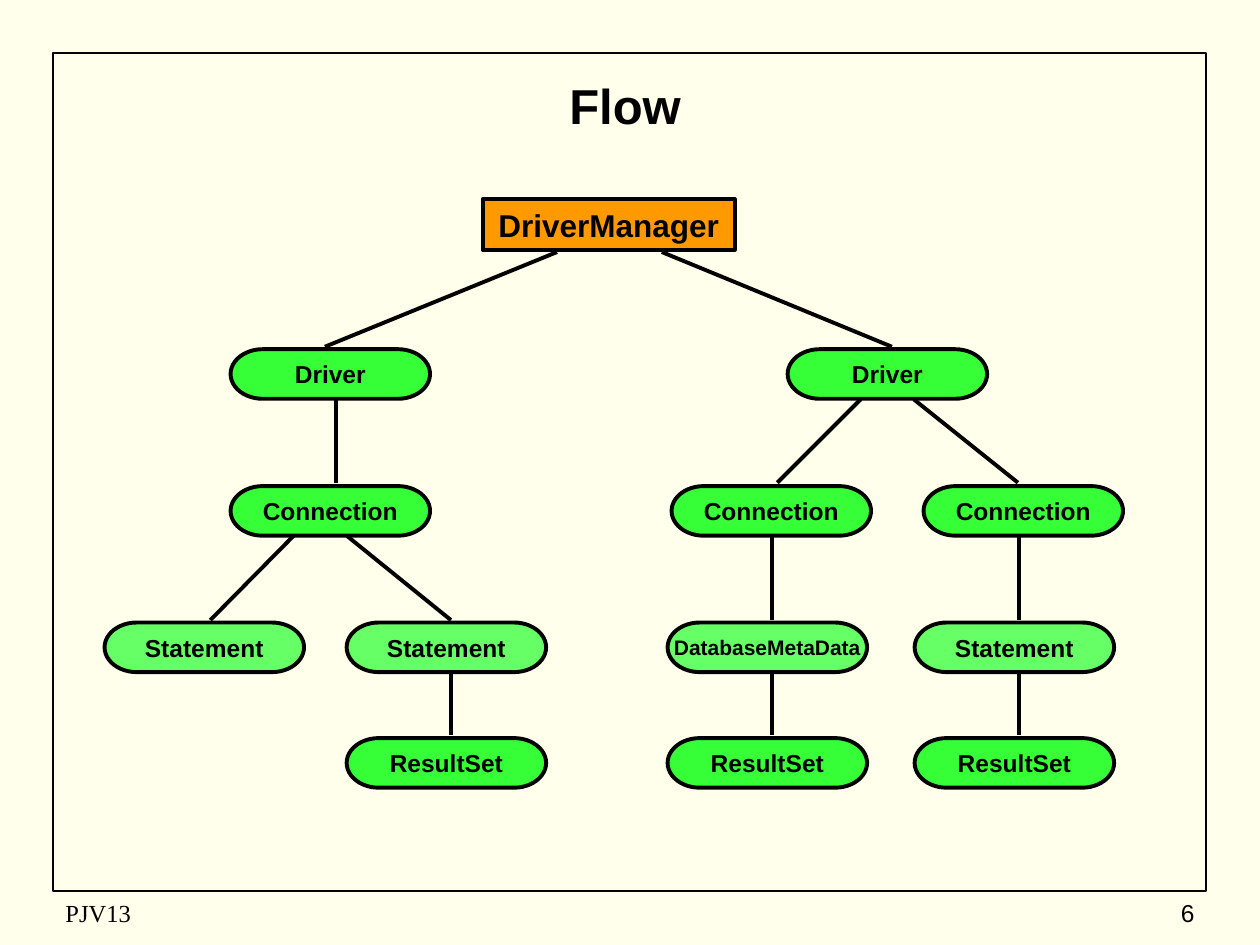
from dataclasses import dataclass

from lxml.etree import SubElement
from pptx import Presentation
from pptx.dml.color import RGBColor
from pptx.enum.shapes import MSO_CONNECTOR, MSO_SHAPE
from pptx.enum.text import MSO_ANCHOR, PP_ALIGN
from pptx.oxml.ns import qn
from pptx.shapes.autoshape import Shape
from pptx.slide import Slide
from pptx.text.text import TextFrame
from pptx.util import Cm, Pt


@dataclass(frozen=True)
class Theme:
    background: RGBColor = RGBColor(0xFF, 0xFF, 0xEB)
    ink: RGBColor = RGBColor(0, 0, 0)
    manager: RGBColor = RGBColor(0xFF, 0x99, 0x00)
    green: RGBColor = RGBColor(0x37, 0xFF, 0x37)
    light_green: RGBColor = RGBColor(0x66, 0xFF, 0x66)
    font: str = "Arial"
    footer_font: str = "Times New Roman"
    title_size: int = 28
    manager_size: int = 18
    node_size: int = 14
    small_size: int = 12
    stroke: float = 2.25


@dataclass(frozen=True)
class Node:
    text: str
    left: float
    top: float
    fill: RGBColor
    size: int


@dataclass(frozen=True)
class Link:
    start: float
    end: float
    gap: tuple[float, float]


THEME = Theme()
NODE_W, NODE_H = 4.02, 1.0
DRIVER_Y, CONNECTION_Y, STATEMENT_Y, RESULT_Y = 7.04, 9.8, 12.55, 14.88
MANAGER_GAP = (5.08, 6.99)
DRIVER_GAP = (8.05, 9.73)
CONNECTION_GAP = (10.8, 12.5)
STATEMENT_GAP = (13.54, 14.81)

ROWS = [
    (DRIVER_Y, "Driver", THEME.green, [4.65, 15.88]),
    (CONNECTION_Y, "Connection", THEME.green, [4.65, 13.54, 18.62]),
    (STATEMENT_Y, "Statement", THEME.light_green, [2.11, 6.99, 18.44]),
    (RESULT_Y, "ResultSet", THEME.green, [6.99, 13.46, 18.44]),
]
NODES = [
    Node(text, left, top, fill, THEME.node_size)
    for top, text, fill, lefts in ROWS
    for left in lefts
] + [Node("DatabaseMetaData", 13.46, STATEMENT_Y, THEME.light_green, THEME.small_size)]

LINKS = [
    Link(11.23, 6.55, MANAGER_GAP),
    Link(13.34, 17.98, MANAGER_GAP),
    Link(6.78, 6.78, DRIVER_GAP),
    Link(17.35, 15.67, DRIVER_GAP),
    Link(18.42, 20.52, DRIVER_GAP),
    Link(5.92, 4.24, CONNECTION_GAP),
    Link(6.99, 9.09, CONNECTION_GAP),
    Link(15.57, 15.57, CONNECTION_GAP),
    Link(20.55, 20.55, CONNECTION_GAP),
    Link(9.09, 9.09, STATEMENT_GAP),
    Link(15.57, 15.57, STATEMENT_GAP),
    Link(20.55, 20.55, STATEMENT_GAP),
]


def write(tf: TextFrame, text: str, size: int, align: PP_ALIGN = PP_ALIGN.CENTER,
          bold: bool = True, font: str = THEME.font, wrap: bool = True) -> None:
    tf.word_wrap = wrap
    tf.vertical_anchor = MSO_ANCHOR.MIDDLE
    tf.text = text
    p = tf.paragraphs[0]
    p.alignment = align
    p.font.name = font
    p.font.size = Pt(size)
    p.font.bold = bold
    p.font.color.rgb = THEME.ink


def add_box(s: Slide, kind: MSO_SHAPE, left: float, top: float, width: float,
            height: float, fill: RGBColor | None, stroke: float) -> Shape:
    sp = s.shapes.add_shape(kind, Cm(left), Cm(top), Cm(width), Cm(height))
    sp.shadow.inherit = False
    if fill is None:
        sp.fill.background()
    else:
        sp.fill.solid()
        sp.fill.fore_color.rgb = fill
    sp.line.color.rgb = THEME.ink
    sp.line.width = Pt(stroke)
    return sp


def add_node(s: Slide, node: Node) -> None:
    sp = add_box(s, MSO_SHAPE.FLOWCHART_TERMINATOR, node.left, node.top,
                 NODE_W, NODE_H, node.fill, THEME.stroke)
    write(sp.text_frame, node.text, node.size, wrap=False)


def add_link(s: Slide, link: Link) -> None:
    top, bottom = link.gap
    line = s.shapes.add_connector(MSO_CONNECTOR.STRAIGHT, Cm(link.start), Cm(top),
                                  Cm(link.end), Cm(bottom))
    line.line.color.rgb = THEME.ink
    line.line.width = Pt(THEME.stroke)
    SubElement(line._element.spPr, qn("a:effectLst"))


def add_footer(s: Slide, text: str, left: float, width: float, align: PP_ALIGN,
               font: str) -> None:
    sp = s.shapes.add_textbox(Cm(left), Cm(17.98), Cm(width), Cm(0.85))
    write(sp.text_frame, text, THEME.node_size, align, bold=False, font=font)


def main() -> None:
    prs = Presentation()
    prs.slide_width, prs.slide_height = Cm(25.4), Cm(19.05)
    s = prs.slides.add_slide(prs.slide_layouts[5])
    s.background.fill.solid()
    s.background.fill.fore_color.rgb = THEME.background

    add_box(s, MSO_SHAPE.RECTANGLE, 1.07, 1.07, 23.24, 16.89, None, 1)
    title = s.shapes.title
    title.left, title.top, title.width, title.height = Cm(1.27), Cm(1.27), Cm(22.66), Cm(1.7)
    write(title.text_frame, "Flow", THEME.title_size)

    manager = add_box(s, MSO_SHAPE.RECTANGLE, 9.73, 4.02, 5.08, 1.02,
                      THEME.manager, THEME.stroke)
    write(manager.text_frame, "DriverManager", THEME.manager_size, wrap=False)
    for node in NODES:
        add_node(s, node)
    for link in LINKS:
        add_link(s, link)

    add_footer(s, "PJV13", 1.07, 8.05, PP_ALIGN.LEFT, THEME.footer_font)
    add_footer(s, "6", 19.05, 5.28, PP_ALIGN.RIGHT, THEME.font)
    prs.save("out.pptx")


if __name__ == "__main__":
    main()
